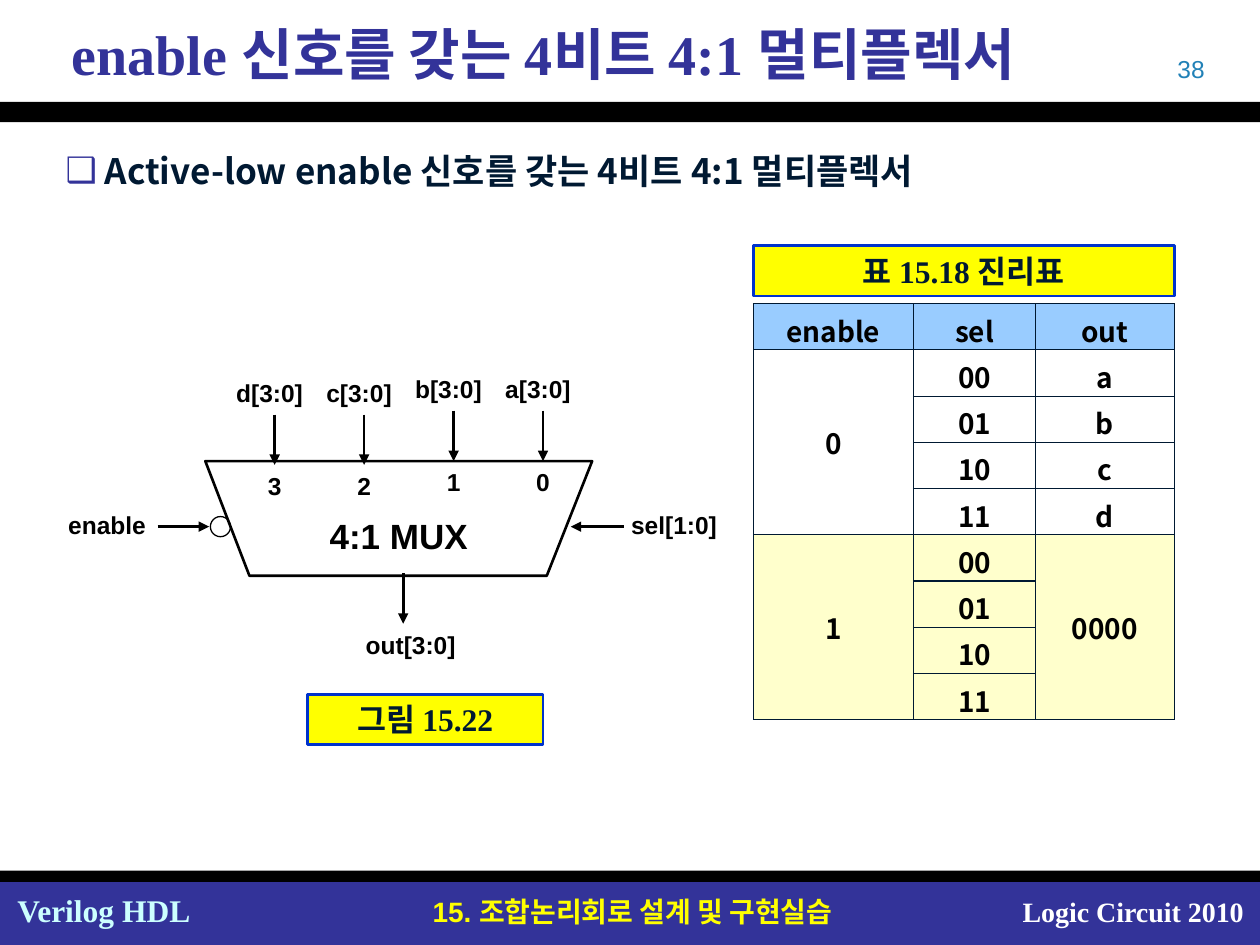
from lxml import etree
from pptx import Presentation
from pptx import util as u
from pptx.dml.color import RGBColor
from pptx.enum import shapes, text
from pptx.oxml.ns import qn

SERIF, SANS, CJK = "Times New Roman", "Arial", "Noto Sans CJK KR"
BLACK, NAVY, INK = "000000", "333399", "001932"
LEFT, CENTER, RIGHT = text.PP_ALIGN.LEFT, text.PP_ALIGN.CENTER, text.PP_ALIGN.RIGHT
TITLE = "enable 신호를 갖는 4비트 4:1 멀티플렉서"
LABEL_WIDTH = 1.1


def color(value):
    return RGBColor.from_string(value)


def box(*lengths):
    return [u.Inches(n) for n in lengths]


def write(tf, words, size, font, fill, align=LEFT, bold=True):
    tf.text = words
    p = tf.paragraphs[0]
    p.alignment = align
    p.font.size = u.Pt(size)
    p.font.name = font
    p.font.bold = bold
    p.font.color.rgb = color(fill)
    latin = p.font._element.find(qn("a:latin"))
    ea = etree.Element(qn("a:ea"), typeface=CJK)
    latin.addnext(ea)
    return p


def add_text(parent, at, words, size, font, fill, align=LEFT, bold=True, wrap=True):
    tf = parent.add_textbox(*box(*at)).text_frame
    tf.word_wrap = wrap
    write(tf, words, size, font, fill, align, bold)


def add_label(parent, center, top, words):
    at = (center - LABEL_WIDTH / 2, top, LABEL_WIDTH, 0.34)
    add_text(parent, at, words, 14, SANS, BLACK, CENTER, wrap=False)


def paint(sp, fill=None, line=None, width=1.5):
    sp.shadow.inherit = False
    if fill:
        sp.fill.solid()
        sp.fill.fore_color.rgb = color(fill)
    else:
        sp.fill.background()
    if line:
        sp.line.color.rgb = color(line)
        sp.line.width = u.Pt(width)
    else:
        sp.line.fill.background()


def add_bar(parent, top, height, fill):
    sp = parent.add_shape(shapes.MSO_SHAPE.RECTANGLE, *box(0, top, 10, height))
    paint(sp, fill)


def add_caption(parent, at, words):
    sp = parent.add_shape(shapes.MSO_SHAPE.RECTANGLE, *box(*at))
    paint(sp, "FFFF00", "0033CC")
    sp.text_frame.vertical_anchor = text.MSO_ANCHOR.MIDDLE
    write(sp.text_frame, words, 18, SERIF, INK, CENTER)


def add_arrow(parent, x1, y1, x2, y2):
    c = parent.add_connector(shapes.MSO_CONNECTOR.STRAIGHT, *box(x1, y1, x2, y2))
    c.line.color.rgb = color(BLACK)
    c.line.width = u.Pt(1.5)
    etree.SubElement(c.line._get_or_add_ln(), qn("a:tailEnd"), type="triangle")
    etree.SubElement(c._element.spPr, qn("a:effectLst"))


def place_title(sp):
    sp.left, sp.top, sp.width, sp.height = box(0.17, 0.1, 9.67, 0.65)
    tf = sp.text_frame
    tf.auto_size = text.MSO_AUTO_SIZE.NONE
    tf.vertical_anchor = text.MSO_ANCHOR.MIDDLE
    p = write(tf, TITLE, 32, SERIF, NAVY)
    p._p.get_or_add_pPr().set("marL", str(u.Inches(0.3)))


def place_body(sp):
    sp.left, sp.top, sp.width, sp.height = box(0.42, 0.97, 9.25, 0.87)
    tf = sp.text_frame
    tf.auto_size = text.MSO_AUTO_SIZE.NONE
    p = write(tf, "Active-low " + TITLE, 20, CJK, INK)
    p.line_spacing = 1.5
    p.space_before = u.Pt(0)
    ppr = p._p.get_or_add_pPr()
    ppr.set("marL", str(u.Inches(0.31)))
    ppr.set("indent", str(-u.Inches(0.31)))
    bullet_color = etree.Element(qn("a:buClr"))
    etree.SubElement(bullet_color, qn("a:srgbClr"), val=NAVY)
    default = ppr.find(qn("a:defRPr"))
    default.addprevious(bullet_color)
    default.addprevious(etree.Element(qn("a:buChar"), char="❑"))


def add_frame(parent):
    add_bar(parent, 7, 0.5, NAVY)
    add_bar(parent, 0.81, 0.16, BLACK)
    add_bar(parent, 6.91, 0.09, BLACK)
    add_text(parent, (3.07, 7.05, 3.9, 0.37), "15. 조합논리회로 설계 및 구현실습",
             16, SANS, "FFFF00", CENTER)
    add_text(parent, (7.88, 7.05, 2.09, 0.37), "Logic Circuit 2010", 16, SERIF, "FFFFFF", RIGHT)
    add_text(parent, (0.04, 7.02, 1.58, 0.4), "Verilog HDL", 18, SERIF, "CCFFFF", wrap=False)
    add_text(parent, (7.33, 0.38, 2.33, 0.33), "38", 14, SANS, "2181B7", RIGHT, bold=False)


def add_mux(parent):
    corners = [box(*xy) for xy in ((1.63, 3.66), (1.98, 4.57), (4.34, 4.57), (4.7, 3.66))]
    builder = parent.build_freeform(*corners[0])
    builder.add_line_segments(corners[1:], close=True)
    sp = builder.convert_to_shape()
    paint(sp, line=BLACK)
    sp.text_frame.word_wrap = False
    sp.text_frame.vertical_anchor = text.MSO_ANCHOR.MIDDLE
    write(sp.text_frame, "4:1 MUX", 20, SANS, BLACK, CENTER).line_spacing = 1.8

    for i, name in enumerate("dcba"):
        x = 2.18 + 0.71 * i
        top = 3.69 if i < 2 else 3.66
        add_arrow(parent, x, top - 0.4, x, top)
        add_label(parent, x - 0.04, top - 0.74, f"{name}[3:0]")
        add_label(parent, x, top, str(3 - i))

    add_arrow(parent, 3.2, 4.55, 3.2, 4.95)
    add_label(parent, 3.26, 4.95, "out[3:0]")
    add_arrow(parent, 4.95, 4.18, 4.53, 4.18)
    add_label(parent, 5.35, 4, "sel[1:0]")
    add_arrow(parent, 1.25, 4.18, 1.66, 4.18)
    add_label(parent, 0.85, 4, "enable")
    bubble = parent.add_shape(shapes.MSO_SHAPE.OVAL, *box(1.67, 4.1, 0.16, 0.16))
    paint(bubble, line=BLACK, width=0.75)


def format_cell(cell, words, fill):
    tcpr = cell._tc.get_or_add_tcPr()
    for side in ("lnL", "lnR", "lnT", "lnB"):
        ln = etree.SubElement(tcpr, qn(f"a:{side}"), w=str(u.Pt(0.75)))
        solid = etree.SubElement(ln, qn("a:solidFill"))
        etree.SubElement(solid, qn("a:srgbClr"), val=INK)
    if fill:
        cell.fill.solid()
        cell.fill.fore_color.rgb = color(fill)
    else:
        cell.fill.background()
    cell.vertical_anchor = text.MSO_ANCHOR.MIDDLE
    write(cell.text_frame, words, 16, CJK, BLACK, CENTER)


def add_truth_table(parent):
    codes = ["00", "01", "10", "11"]
    rows = [("enable", "sel", "out")]
    rows += [("" if i else "0", code, "abcd"[i]) for i, code in enumerate(codes)]
    rows += [("" if i else "1", code, "" if i else "0000") for i, code in enumerate(codes)]
    fills = ["99CCFF"] + [None] * 4 + ["FFFFCC"] * 4
    table = parent.add_table(9, 3, *box(5.98, 2.41, 3.34, 3.3)).table
    table.first_row = table.horz_banding = False
    for column, width in zip(table.columns, (1.27, 0.97, 1.1)):
        column.width = u.Inches(width)
    for r, (row, fill) in enumerate(zip(rows, fills)):
        table.rows[r].height = u.Inches(3.3 / 9)
        for c, words in enumerate(row):
            format_cell(table.cell(r, c), words, fill)
    for top, column in ((1, 0), (5, 0), (5, 2)):
        table.cell(top, column).merge(table.cell(top + 3, column))


def main():
    prs = Presentation()
    prs.slide_width, prs.slide_height = box(10, 7.5)
    s = prs.slides.add_slide(prs.slide_layouts[1])
    add_frame(s.shapes)
    place_title(s.shapes.title)
    place_body(s.placeholders[1])
    add_mux(s.shapes.add_group_shape().shapes)
    add_truth_table(s.shapes)
    add_caption(s.shapes, (2.44, 5.51, 1.87, 0.4), "그림 15.22")
    add_caption(s.shapes, (5.98, 1.95, 3.34, 0.4), "표 15.18 진리표")
    prs.save("out.pptx")


if __name__ == "__main__":
    main()
